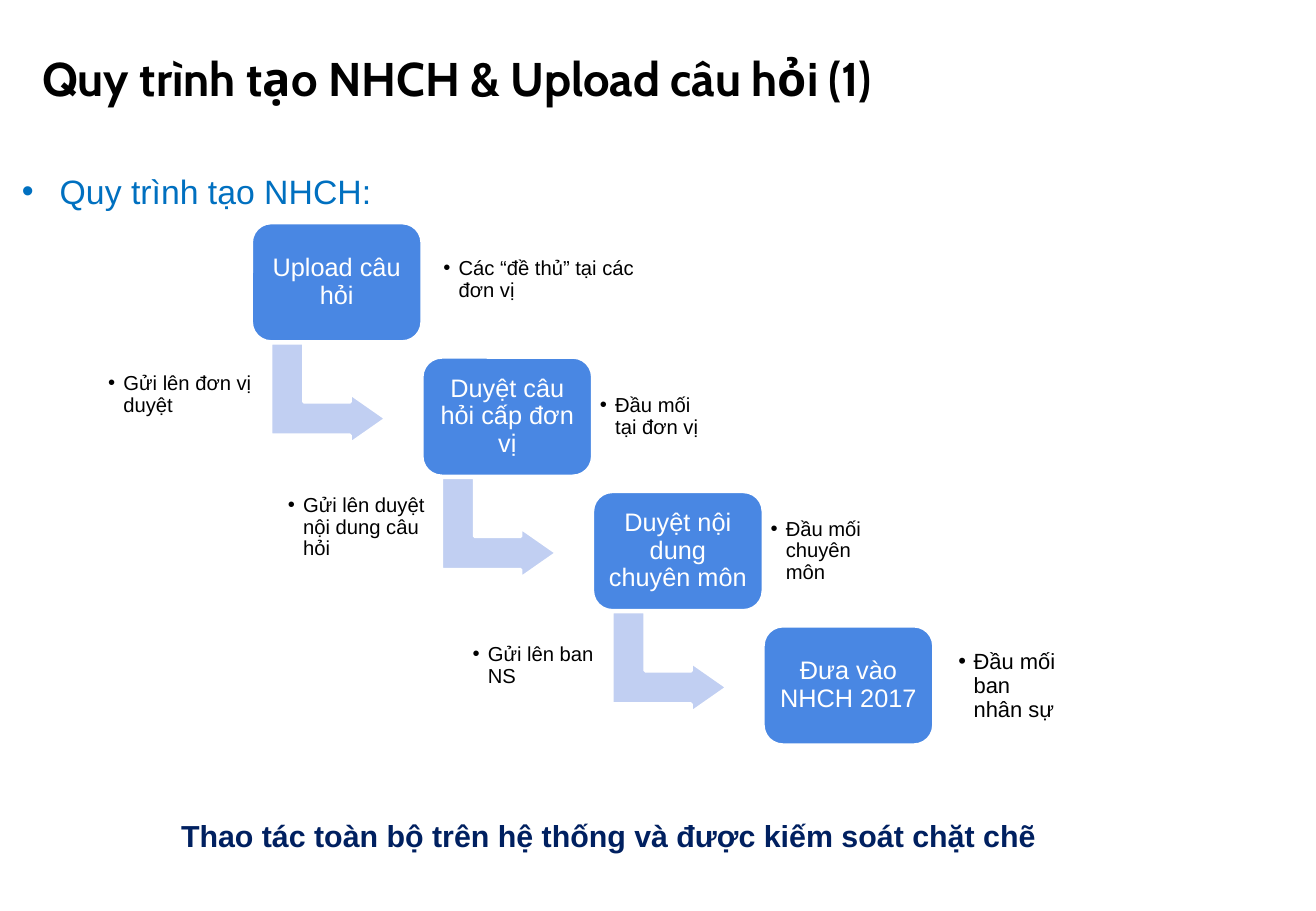
from lxml import etree
from pptx import Presentation
from pptx.dml.color import RGBColor
from pptx.enum import shapes, text
from pptx.oxml import ns
from pptx.util import Pt

BLACK = RGBColor(0, 0, 0)
WHITE = RGBColor(255, 255, 255)
BLUE = RGBColor(0x49, 0x87, 0xE3)
PALE = RGBColor(0xC1, 0xCF, 0xF2)
HEADING = RGBColor(0, 0x70, 0xC0)
NAVY = RGBColor(0, 0x20, 0x60)
LEFT, CENTER = text.PP_ALIGN.LEFT, text.PP_ALIGN.CENTER
MIDDLE, TOP = text.MSO_ANCHOR.MIDDLE, text.MSO_ANCHOR.TOP

STEPS = [
    ("Upload câu hỏi", ("Các “đề thủ” tại các đơn vị", 109.5, 5, 145.4, 12),
     ("Gửi lên đơn vị duyệt", -89.2, 73.4)),
    ("Duyệt câu hỏi cấp đơn vị", ("Đầu mối tại đơn vị", 101.2, 6.7, 73.4, 12),
     ("Gửi lên duyệt nội dung câu hỏi", -83.8, 72.2)),
    ("Duyệt nội dung chuyên môn", ("Đầu mối chuyên môn", 101.2, 6.7, 73.4, 12),
     ("Gửi lên ban NS", -75.4, 74.6)),
    ("Đưa vào NHCH 2017", ("Đầu mối ban nhân sự", 111.5, 7, 69.8, 13), None),
]


def set_all(obj, values):
    """Set each attribute of an object from a dict."""
    for name, value in values.items():
        setattr(obj, name, value)


def write(sp, words, size, color, font="Arial", bold=False, align=LEFT,
          anchor=MIDDLE, inset=(4.3, 4.3), spacing=0.9, around=0, bullet=0):
    """Fill a shape with one formatted paragraph."""
    tf = sp.text_frame
    x, y = map(Pt, inset)
    set_all(tf, dict(word_wrap=True, vertical_anchor=anchor, margin_left=x,
                     margin_right=x, margin_top=y, margin_bottom=y))
    p = tf.paragraphs[0]
    set_all(p, dict(alignment=align, line_spacing=spacing,
                    space_before=Pt(around), space_after=Pt(around)))
    if bullet:
        ppr = p._p.get_or_add_pPr()
        ppr.set("marL", str(Pt(bullet)))
        ppr.set("indent", str(-Pt(bullet)))
        etree.SubElement(ppr, ns.qn("a:buFont")).set("typeface", "Arial")
        etree.SubElement(ppr, ns.qn("a:buChar")).set("char", "•")
    r = p.add_run()
    r.text = words
    set_all(r.font, dict(name=font, size=Pt(size), bold=bold))
    r.font.color.rgb = color


def label(s, box, words, size, color, **style):
    """Add a text box."""
    write(s.shapes.add_textbox(*map(Pt, box)), words, size, color, **style)


def block(s, kind, box, fill, adjustments):
    """Add a filled shape with a white outline."""
    sp = s.shapes.add_shape(kind, *map(Pt, box))
    sp.shadow.inherit = False
    sp.fill.solid()
    sp.fill.fore_color.rgb = fill
    sp.line.color.rgb = WHITE
    sp.line.width = Pt(2)
    for i, value in enumerate(adjustments):
        sp.adjustments[i] = value
    return sp


def header(s, x, y, w):
    """Place the title and the section heading."""
    label(s, (x + 18, y + 23.8, 669.6, 44.6), "Quy trình tạo NHCH & Upload câu hỏi (1)",
          28, BLACK, font="Cabin", bold=True, inset=(7.2, 3.6), spacing=1)
    label(s, (x + 5.8, y + 95, w, 70.6), "Quy trình tạo NHCH:", 20, HEADING,
          anchor=TOP, inset=(7.2, 3.6), spacing=1.1, around=6, bullet=22.5)


def step(s, x, y, w, h, name, note, handover):
    """Place one step with its note and, if any, its arrow to the next step."""
    if handover:
        arrow = block(s, shapes.MSO_SHAPE.BENT_UP_ARROW, (x + 15.8, y + 67, 59.8, 68.4),
                      PALE, (0.328, 0.25, 0.358))
        arrow.rotation = 90
        words, dx, dy = handover
        label(s, (x + dx, y + dy, 98, 57.6), words, 12, BLACK, bullet=9)
    sp = block(s, shapes.MSO_SHAPE.ROUNDED_RECTANGLE, (x, y, w, h), BLUE, (0.167,))
    write(sp, name, 15, WHITE, align=CENTER)
    words, dx, dy, width, size = note
    label(s, (x + dx, y + dy, width, 57.6), words, size, BLACK, bullet=9)


def staircase(s, x, y, w, h):
    """Lay the steps along the diagonal of the box."""
    step_w, step_h = 101.2, 70.6
    last = len(STEPS) - 1
    for i, parts in enumerate(STEPS):
        step(s, x + i * (w - step_w) / last, y + i * (h - step_h) / last,
             step_w, step_h, *parts)


def footer(s, x, y, w, h):
    """Place the closing statement."""
    label(s, (x, y, w, h), "Thao tác toàn bộ trên hệ thống và được kiếm soát chặt chẽ",
          18, NAVY, bold=True)


def main():
    """Build and save the slide."""
    prs = Presentation()
    set_all(prs, dict(slide_width=Pt(780), slide_height=Pt(540)))
    s = prs.slides.add_slide(prs.slide_layouts[6])
    header(s, 0, 0, 780)
    staircase(s, 149, 132, 404.5, 309.6)
    footer(s, 103, 468, 619.2, 57.6)
    prs.save("out.pptx")


if __name__ == "__main__":
    main()
